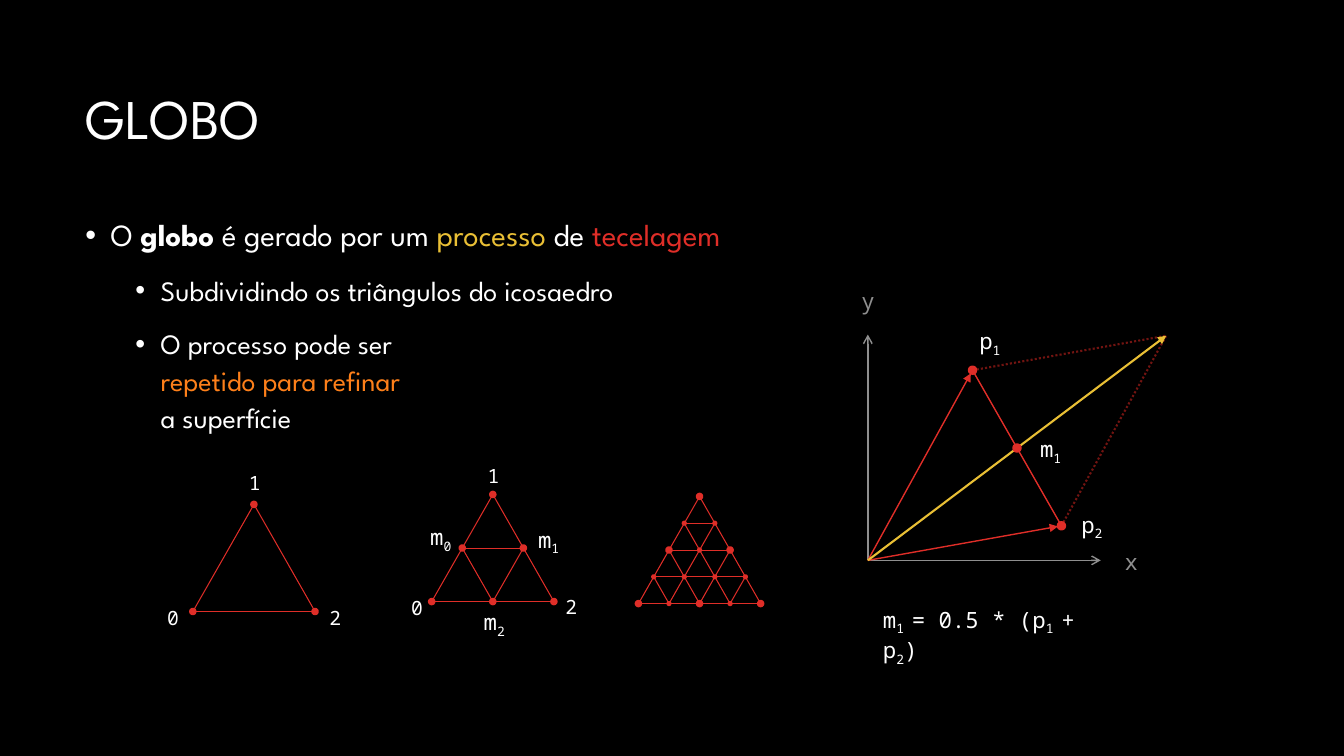
from math import hypot

from lxml import etree
from pptx import Presentation
from pptx.dml.color import RGBColor
from pptx.enum.dml import MSO_LINE
from pptx.enum.shapes import MSO_CONNECTOR, MSO_SHAPE
from pptx.enum.text import MSO_ANCHOR
from pptx.oxml.ns import qn
from pptx.util import Cm, Pt

STRAIGHT = MSO_CONNECTOR.STRAIGHT
OVAL = MSO_SHAPE.OVAL
DOTTED = MSO_LINE.ROUND_DOT
TOP, MIDDLE = MSO_ANCHOR.TOP, MSO_ANCHOR.MIDDLE

COLORS = {
    "black": "000000",
    "white": "FFFFFF",
    "red": "DF2E28",
    "dark_red": "721411",
    "yellow": "E9BF35",
    "orange": "FE801A",
    "gray": "8F8F8F",
}
SANS = "League Spartan"
MONO = "Noto Sans Mono"
SUB = {"sub": True}

# Triangle geometry in centimetres
HALF_BASE, HEIGHT = 1.54, 2.7
BIG_DOT, SMALL_DOT, VECTOR_DOT = 0.11, 0.05, 0.16


def rgb(name):
    return RGBColor.from_string(COLORS[name])


def add_runs(paragraph, runs, font, size, color):
    """Fill a paragraph from (text, overrides) pairs; a final newline breaks the line."""
    for text, style in runs:
        run = paragraph.add_run()
        run.text = text.rstrip("\n")
        run.font.name = font
        run.font.size = Pt(size)
        run.font.bold = style.get("bold", False)
        run.font.color.rgb = rgb(style.get("color", color))
        if style.get("sub"):
            run._r.get_or_add_rPr().set("baseline", "-25000")
        if text.endswith("\n"):
            paragraph.add_line_break()


def set_bullet(paragraph, margin):
    properties = paragraph._p.get_or_add_pPr()
    properties.set("marL", str(Cm(margin)))
    properties.set("indent", str(-Cm(0.64)))
    etree.SubElement(properties, qn("a:buFont")).set("typeface", "Arial")
    etree.SubElement(properties, qn("a:buChar")).set("char", "•")


def add_text(slide, box, paragraphs, font=MONO, size=16, color="white",
             wrap=False, anchor=TOP, spacing=None):
    """Add a text box; each paragraph is a list of (text, overrides) pairs."""
    frame = slide.shapes.add_textbox(*map(Cm, box)).text_frame
    frame.word_wrap = wrap
    frame.vertical_anchor = anchor
    for index, runs in enumerate(paragraphs):
        paragraph = frame.add_paragraph() if index else frame.paragraphs[0]
        paragraph.line_spacing = spacing
        add_runs(paragraph, runs, font, size, color)
    return frame


def add_label(slide, left, top, text, subscript="", size=16, color="white"):
    runs = [(text, {})]
    if subscript:
        runs.append((subscript, SUB))
    width = 1.04 if subscript else 0.8
    add_text(slide, (left, top, width, 0.94), [runs], size=size, color=color)


def add_dot(slide, center, diameter):
    x, y = center
    dot = slide.shapes.add_shape(OVAL, Cm(x - diameter / 2), Cm(y - diameter / 2),
                                 Cm(diameter), Cm(diameter))
    dot.shadow.inherit = False
    dot.fill.solid()
    dot.fill.fore_color.rgb = rgb("red")
    dot.line.color.rgb = rgb("red")
    dot.line.width = Pt(2.25)


def add_line(slide, start, end, color="red", width=0.75, dash=None, head=None):
    line = slide.shapes.add_connector(STRAIGHT, *map(Cm, (*start, *end)))
    line.line.color.rgb = rgb(color)
    line.line.width = Pt(width)
    if dash:
        line.line.dash_style = dash
    if head:
        etree.SubElement(line.line._get_or_add_ln(), qn("a:tailEnd")).set("type", head)
    etree.SubElement(line._element.spPr, qn("a:effectLst"))


def midpoint(a, b):
    return (a[0] + b[0]) / 2, (a[1] + b[1]) / 2


def stop_before(start, end, gap):
    """Return the point on start-end that lies gap short of end."""
    dx, dy = end[0] - start[0], end[1] - start[1]
    share = 1 - gap / hypot(dx, dy)
    return start[0] + dx * share, start[1] + dy * share


def draw_triangle(slide, corners, dot=None):
    for index, corner in enumerate(corners):
        add_line(slide, corner, corners[index - 1])
        if dot:
            add_dot(slide, corner, dot)


def weave(slide, corners, dots, dotted=True):
    """Join the side midpoints and subdivide again, one level per dot size."""
    if not dots:
        return
    left, top, right = corners
    m0, m1, m2 = midpoint(left, top), midpoint(top, right), midpoint(right, left)
    draw_triangle(slide, (m0, m1, m2), dots[0] if dotted else None)
    for part in ((left, m0, m2), (m0, top, m1), (m2, m1, right)):
        weave(slide, part, dots[1:])
    # The inner triangle shares its midpoints with its neighbours
    weave(slide, (m0, m1, m2), dots[1:], dotted=False)


def add_woven_triangle(slide, apex, dots):
    x, y = apex
    corners = ((x - HALF_BASE, y + HEIGHT), apex, (x + HALF_BASE, y + HEIGHT))
    draw_triangle(slide, corners, BIG_DOT)
    weave(slide, corners, dots)


def add_body(slide):
    body = add_text(slide, (1.9, 5.23, 30.05, 11.91), [
        [("O ", {}), ("globo", {"bold": True}), (" é gerado por um ", {}),
         ("processo", {"color": "yellow"}), (" de ", {}),
         ("tecelagem", {"color": "red"})],
        [("Subdividindo os triângulos do icosaedro", {})],
        [("O processo pode ser \n", {}),
         ("repetido para refinar \n", {"color": "orange"}),
         ("a superfície", {})],
    ], font=SANS, size=20, wrap=True, spacing=1.1)
    lead, *details = body.paragraphs
    lead.space_before = Pt(10)
    set_bullet(lead, 0.64)
    for run in lead.runs:
        run.font.size = Pt(22)
    for detail in details:
        detail.level = 1
        detail.space_before = Pt(12)
        set_bullet(detail, 1.9)


def add_vector_diagram(slide):
    origin, p1, p2 = (21.87, 14.12), (24.51, 9.33), (26.75, 13.25)
    total = (p1[0] + p2[0] - origin[0], p1[1] + p2[1] - origin[1])

    # Parallelogram and the side between the points
    for point in (p2, p1):
        add_line(slide, point, total, "dark_red", 1.5, DOTTED)
    add_line(slide, p1, p2, width=1)

    # Axes
    for axis_end in ((origin[0], 8.43), (27.74, origin[1])):
        add_line(slide, origin, axis_end, "gray", 1, head="arrow")
    add_label(slide, 28.09, 13.69, "x", color="gray")
    add_label(slide, 21.46, 7.11, "y", color="gray")

    # Vectors and points
    for point in (p2, p1):
        add_dot(slide, point, VECTOR_DOT)
        add_line(slide, origin, stop_before(origin, point, 0.09), width=1, head="triangle")
    add_line(slide, origin, total, "yellow", 1.5, head="triangle")
    add_dot(slide, midpoint(p1, p2), VECTOR_DOT)
    add_label(slide, 24.43, 8.13, "p", "1")
    add_label(slide, 27, 12.75, "p", "2")
    add_label(slide, 25.96, 10.85, "m", "1")

    # Midpoint formula
    add_text(slide, (22, 15.14, 6.22, 0.94), [[
        ("m", {}), ("1 ", SUB), ("= 0.5 * (p", {}), ("1 ", SUB),
        ("+ p", {}), ("2", SUB), (")", {})]], wrap=True)


def main():
    deck = Presentation()
    deck.slide_width, deck.slide_height = Cm(33.87), Cm(19.05)
    slide = deck.slides.add_slide(deck.slide_layouts[6])
    slide.background.fill.solid()
    slide.background.fill.fore_color.rgb = rgb("black")

    # Heading and bullets
    add_text(slide, (1.9, 1.27, 30.05, 3.58), [[("GLOBO", {})]], font=SANS,
             size=40, wrap=True, anchor=MIDDLE, spacing=0.9)
    add_body(slide)

    # Three stages of subdivision
    add_woven_triangle(slide, (6.4, 12.71), [])
    add_woven_triangle(slide, (12.42, 12.46), [BIG_DOT])
    add_woven_triangle(slide, (17.63, 12.51), [BIG_DOT, SMALL_DOT])
    for left, top, number in ((3.96, 15.14, "0"), (6.02, 11.73, "1"), (8.05, 15.14, "2"),
                              (10.11, 14.88, "0"), (12.04, 11.56, "1"), (14, 14.86, "2")):
        add_label(slide, left, top, number, size=14)
    for left, top, number in ((10.59, 13.06, "0"), (13.31, 13.13, "1"), (11.94, 15.21, "2")):
        add_label(slide, left, top, "m", number)

    add_vector_diagram(slide)
    deck.save("out.pptx")


if __name__ == "__main__":
    main()
